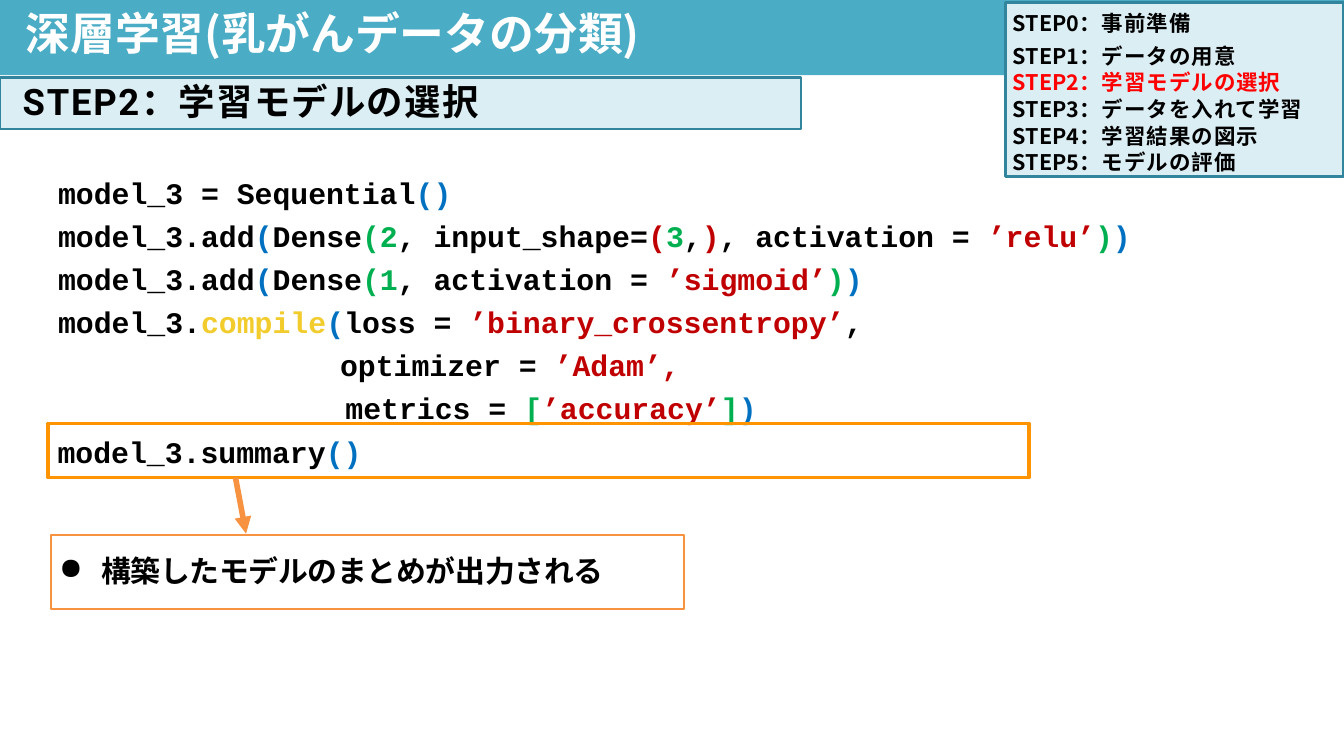
from dataclasses import dataclass

from lxml.etree import SubElement
from pptx import Presentation
from pptx.dml.color import RGBColor
from pptx.enum.shapes import MSO_CONNECTOR, MSO_SHAPE
from pptx.enum.text import MSO_ANCHOR, PP_ALIGN
from pptx.oxml.ns import qn
from pptx.util import Cm, Pt


@dataclass(frozen=True)
class Theme:
    teal: str = "4BACC6"
    pale: str = "DBEEF4"
    edge: str = "31859C"
    orange: str = "FF9300"
    amber: str = "F69240"
    white: str = "FFFFFF"
    black: str = "000000"
    blue: str = "0070C0"
    green: str = "00B050"
    red: str = "C00000"
    yellow: str = "F2CC2C"
    current: str = "FF0000"
    japanese: str = "Noto Sans CJK JP"
    heading: str = "Roboto"
    mono: str = "Courier New"
    title_size: float = 24
    heading_size: float = 19.5
    body_size: float = 16
    step_size: float = 11.5


class SlideBuilder:
    """Draws styled elements on the current slide."""

    def __init__(self, slide, theme):
        self.slide = slide
        self.theme = theme

    def rect(self, box, fill=None, line=None, width=1.5):
        shape = self.slide.shapes.add_shape(MSO_SHAPE.RECTANGLE, *map(Cm, box))
        shape.shadow.inherit = False
        if fill:
            shape.fill.solid()
            shape.fill.fore_color.rgb = RGBColor.from_string(fill)
        else:
            shape.fill.background()
        if line:
            shape.line.color.rgb = RGBColor.from_string(line)
            shape.line.width = Pt(width)
        else:
            shape.line.fill.background()
        return shape

    def textbox(self, box):
        return self.slide.shapes.add_textbox(*map(Cm, box))

    def frame(self, shape, left=0, top=0, bottom=0, anchor=MSO_ANCHOR.TOP):
        frame = shape.text_frame
        frame.word_wrap = True
        frame.vertical_anchor = anchor
        frame.margin_left, frame.margin_top = Cm(left), Cm(top)
        frame.margin_right, frame.margin_bottom = 0, Cm(bottom)
        return frame

    def put_text(self, frame, lines, font, size, pitch=None):
        frame.text = "\n".join("".join(run[0] for run in line) for line in lines)
        for paragraph, line in zip(frame.paragraphs, lines):
            paragraph.text = ""
            paragraph.alignment = PP_ALIGN.LEFT
            if pitch:
                paragraph.line_spacing = Pt(pitch)
            for text, color, spacing in line:
                run = paragraph.add_run()
                run.text = text
                run.font.name, run.font.size, run.font.bold = font, Pt(size), True
                run.font.color.rgb = RGBColor.from_string(color)
                properties = run._r.get_or_add_rPr()
                properties.set("spc", str(round(spacing * 100)))
                properties.find(qn("a:latin")).addnext(
                    properties.makeelement(qn("a:ea"), {"typeface": font}))

    def put_code(self, frame, lines, pitch=None):
        colored = [[(text, getattr(self.theme, color), 0) for text, color in line]
                   for line in lines]
        self.put_text(frame, colored, self.theme.mono, self.theme.body_size, pitch)

    def indent(self, paragraph, margin, first=0, bullet=None):
        properties = paragraph._p.get_or_add_pPr()
        properties.set("marL", str(Cm(margin)))
        properties.set("indent", str(Cm(first)))
        if bullet:
            SubElement(properties, qn("a:buChar")).set("char", bullet)

    def arrow(self, start, end, color, width):
        arrow = self.slide.shapes.add_connector(
            MSO_CONNECTOR.STRAIGHT, *map(Cm, start + end))
        arrow.line.color.rgb = RGBColor.from_string(color)
        arrow.line.width = Pt(width)
        outline = arrow._element.spPr.find(qn("a:ln"))
        SubElement(outline, qn("a:tailEnd")).set("type", "triangle")
        SubElement(arrow._element.spPr, qn("a:effectLst"))


MODEL_CODE = [
    [("model_3 = Sequential", "black"), ("()", "blue")],
    [("model_3.add", "black"), ("(", "blue"), ("Dense", "black"), ("(2", "green"),
     (", input_shape=", "black"), ("(", "red"), ("3", "green"), (",", "black"),
     (")", "red"), (", activation = ", "black"), ("’relu’", "red"), (")", "green"),
     (")", "blue")],
    [("model_3.add", "black"), ("(", "blue"), ("Dense", "black"), ("(1", "green"),
     (", activation = ", "black"), ("’sigmoid’", "red"), (")", "green"),
     (")", "blue")],
    [("model_3.", "black"), ("compile", "yellow"), ("(", "blue"), ("loss = ", "black"),
     ("’binary_crossentropy’", "red"), (",", "black")],
    [("optimizer = ", "black"), ("’Adam’,", "red")],
]
METRICS_CODE = [[("metrics = ", "black"), ("[", "green"), ("’accuracy’", "red"),
                 ("]", "green"), (")", "blue")]]
SUMMARY_CODE = [[("model_3.summary", "black"), ("()", "blue")]]
STEPS = ["事前準備", "データの用意", "学習モデルの選択", "データを入れて学習",
         "学習結果の図示", "モデルの評価"]
CURRENT_STEP = 2


def main():
    presentation = Presentation()
    presentation.slide_width, presentation.slide_height = Cm(25.4), Cm(14.28)
    theme = Theme()
    builder = SlideBuilder(
        presentation.slides.add_slide(presentation.slide_layouts[6]), theme)

    model = builder.frame(builder.textbox((1.07, 3.07, 20.45, 4.14)), 0.03, 0.1)
    builder.put_code(model, MODEL_CODE, pitch=23)
    builder.indent(model.paragraphs[-1], 5.33)
    metrics = builder.frame(builder.textbox((6.5, 7.26, 7.87, 0.74)), 0.03, 0.1)
    builder.put_code(metrics, METRICS_CODE)
    summary = builder.rect((0.91, 8, 18.54, 1.02), line=theme.orange, width=2)
    builder.put_code(builder.frame(summary, 0.18, 0.19), SUMMARY_CODE)

    note = builder.frame(
        builder.rect((0.97, 10.11, 11.96, 1.4), line=theme.amber, width=1), top=0.33)
    builder.put_text(note, [[("構築したモデルのまとめが出⼒される", theme.black, -0.1)]],
                     theme.japanese, theme.body_size)
    builder.indent(note.paragraphs[0], 0.94, -0.79, "●")
    builder.arrow((4.45, 9.02), (4.65, 10.08), theme.amber, 3)

    builder.rect((0, 0, 25.4, 1.42), fill=theme.teal)
    title = builder.frame(builder.textbox((0.46, 0.1, 13.82, 0.91)), 0.03, 0.12,
                          anchor=MSO_ANCHOR.MIDDLE)
    builder.put_text(title, [[("深層学習(乳がんデータの分類)", theme.white, -0.1)]],
                     theme.japanese, theme.title_size)

    band = builder.rect((0, 1.47, 15.14, 0.97), theme.pale, theme.edge)
    builder.put_text(builder.frame(band, 0.43, bottom=0.08, anchor=MSO_ANCHOR.MIDDLE),
                     [[(f"STEP{CURRENT_STEP}", theme.black, 0.9),
                       (f"：{STEPS[CURRENT_STEP]}", theme.black, 0.6)]],
                     theme.heading, theme.heading_size)

    agenda = builder.frame(
        builder.rect((19, 0.05, 6.4, 3.28), theme.pale, theme.edge), 0.14, 0.13)
    colors = [theme.current if number == CURRENT_STEP else theme.black
              for number in range(len(STEPS))]
    builder.put_text(agenda, [[(f"STEP{number}", color, 0), (f"：{step}", color, 0.5)]
                              for number, (step, color) in enumerate(zip(STEPS, colors))],
                     theme.japanese, theme.step_size, pitch=14.3)
    agenda.paragraphs[1].space_before = Pt(3)

    presentation.save("out.pptx")


if __name__ == "__main__":
    main()
